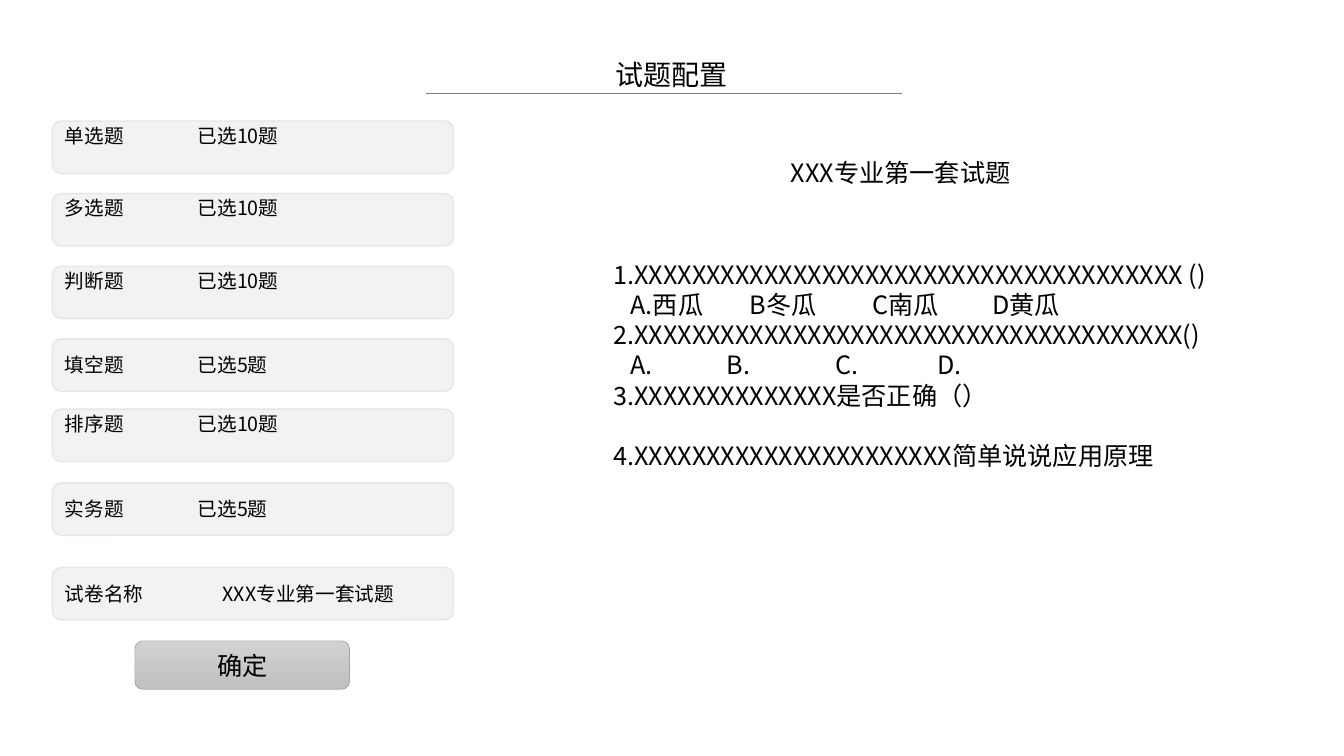
from lxml.etree import SubElement
from pptx import Presentation
from pptx.dml.color import RGBColor
from pptx.enum.shapes import MSO_CONNECTOR as CONN, MSO_SHAPE as SHAPE
from pptx.enum.text import MSO_ANCHOR as ANCHOR, PP_ALIGN as ALIGN
from pptx.oxml.ns import qn
from pptx.util import Cm, Pt

FONT = "Noto Sans CJK SC"
COLORS = {"text": "000000", "rule": "7F7F7F", "row": "F2F2F2",
          "row_line": "E7E6E6", "button_top": "D2D2D2",
          "button_bottom": "C0C0C0", "button_line": "A5A5A5"}
# label, value, top within the list, tab position, text anchor (all cm)
ROWS = [
    ("单选题", "已选10题", 0, 3.35, ANCHOR.TOP),
    ("多选题", "已选10题", 1.83, 3.35, ANCHOR.TOP),
    ("判断题", "已选10题", 3.66, 3.35, ANCHOR.TOP),
    ("填空题", "已选5题", 5.49, 3.35, ANCHOR.MIDDLE),
    ("排序题", "已选10题", 7.26, 3.35, ANCHOR.TOP),
    ("实务题", "已选5题", 9.12, 3.35, ANCHOR.MIDDLE),
    ("试卷名称", "XXX专业第一套试题", 11.25, 3.98, ANCHOR.MIDDLE),
]
# text, tab positions in cm, space before in points
QUESTIONS = [
    ("1." + "X" * 38 + " ()", (), 0),
    ("\tA.西瓜\tB冬瓜\tC南瓜\tD黄瓜", (0.43, 3.43, 6.53, 9.55), 0),
    ("2." + "X" * 38 + "()", (), 0),
    ("\tA.\tB.\tC.\tD.", (0.43, 2.85, 5.59, 8.16), 0),
    ("3." + "X" * 14 + "是否正确（）", (), 0),
    ("4." + "X" * 22 + "简单说说应用原理", (), 21.6),
]


def rgb(name):
    return RGBColor.from_string(COLORS[name])


def write(p, text, size, tabs=(), before=0, align=ALIGN.LEFT):
    if tabs:
        tab_list = SubElement(p._p.get_or_add_pPr(), qn("a:tabLst"))
        for pos in tabs:
            SubElement(tab_list, qn("a:tab"), pos=str(Cm(pos)), algn="l")
    layout = {"alignment": align, "line_spacing": Pt(size * 1.2),
              "space_before": Pt(before)}
    for key, value in layout.items():
        setattr(p, key, value)
    r = p.add_run()
    r.text = text
    for key, value in {"name": FONT, "size": Pt(size), "bold": False}.items():
        setattr(r.font, key, value)
    r.font.color.rgb = rgb("text")
    SubElement(r._r.get_or_add_rPr(), qn("a:ea"), typeface=FONT)


def set_frame(tf, **formats):
    for key, value in formats.items():
        setattr(tf, key, value)


def add_round_box(slide, box, line, width):
    sp = slide.shapes.add_shape(SHAPE.ROUNDED_RECTANGLE, *map(Cm, box))
    sp.shadow.inherit = False
    sp.line.color.rgb = rgb(line)
    sp.line.width = Pt(width)
    return sp


def add_heading(slide, x, y, w, h):
    """Place the title above a rule, both centred in the box."""
    title = slide.shapes.title
    title_w = 3.35
    frame = {"left": x + (w - title_w) / 2 + 0.2, "top": y,
             "width": title_w, "height": 1.12}
    for key, value in frame.items():
        setattr(title, key, Cm(value))
    tf = title.text_frame
    set_frame(tf, word_wrap=False, vertical_anchor=ANCHOR.MIDDLE,
              margin_left=Cm(0.25), margin_right=Cm(0.25))
    write(tf.paragraphs[0], "试题配置", 20)
    rule = slide.shapes.add_connector(
        CONN.STRAIGHT, Cm(x), Cm(y + h), Cm(x + w), Cm(y + h))
    rule.line.color.rgb = rgb("rule")
    rule.line.width = Pt(0.5)
    SubElement(rule._element.spPr, qn("a:effectLst"))


def add_type_list(slide, x, y, w, row_h):
    for label, value, top, tab, anchor in ROWS:
        sp = add_round_box(slide, (x, y + top, w, row_h), "row_line", 1)
        sp.fill.solid()
        sp.fill.fore_color.rgb = rgb("row")
        tf = sp.text_frame
        set_frame(tf, word_wrap=True, vertical_anchor=anchor,
                  margin_top=0, margin_bottom=0)
        write(tf.paragraphs[0], f"{label}\t{value}", 14, (tab,))


def add_button(slide, x, y, w, h):
    sp = add_round_box(slide, (x, y, w, h), "button_line", 0.5)
    sp.fill.gradient()
    sp.fill.gradient_angle = 270
    for stop, name in zip(sp.fill.gradient_stops,
                          ("button_top", "button_bottom")):
        stop.color.rgb = rgb(name)
    tf = sp.text_frame
    set_frame(tf, vertical_anchor=ANCHOR.MIDDLE)
    write(tf.paragraphs[0], "确定", 18, align=ALIGN.CENTER)


def add_text(slide, box, lines):
    tf = slide.shapes.add_textbox(*map(Cm, box)).text_frame
    tf.word_wrap = True
    for i, (text, tabs, before) in enumerate(lines):
        p = tf.add_paragraph() if i else tf.paragraphs[0]
        write(p, text, 18, tabs, before)


def add_paper_preview(slide, x, y, w, h):
    """Place the paper name above its questions."""
    add_text(slide, (x + 4.47, y, 6.12, 1.02), [("XXX专业第一套试题", (), 0)])
    add_text(slide, (x, y + 2.56, w, h - 2.56), QUESTIONS)


def main():
    prs = Presentation()
    prs.slide_width, prs.slide_height = Cm(33.87), Cm(19.05)
    slide = prs.slides.add_slide(prs.slide_layouts[5])
    add_heading(slide, 10.74, 1.32, 11.99, 1.02)
    add_type_list(slide, 1.32, 3.05, 10.11, 1.32)
    add_button(slide, 3.4, 16.15, 5.41, 1.22)
    add_paper_preview(slide, 15.21, 3.84, 16.13, 8.96)
    prs.save("out.pptx")


if __name__ == "__main__":
    main()
